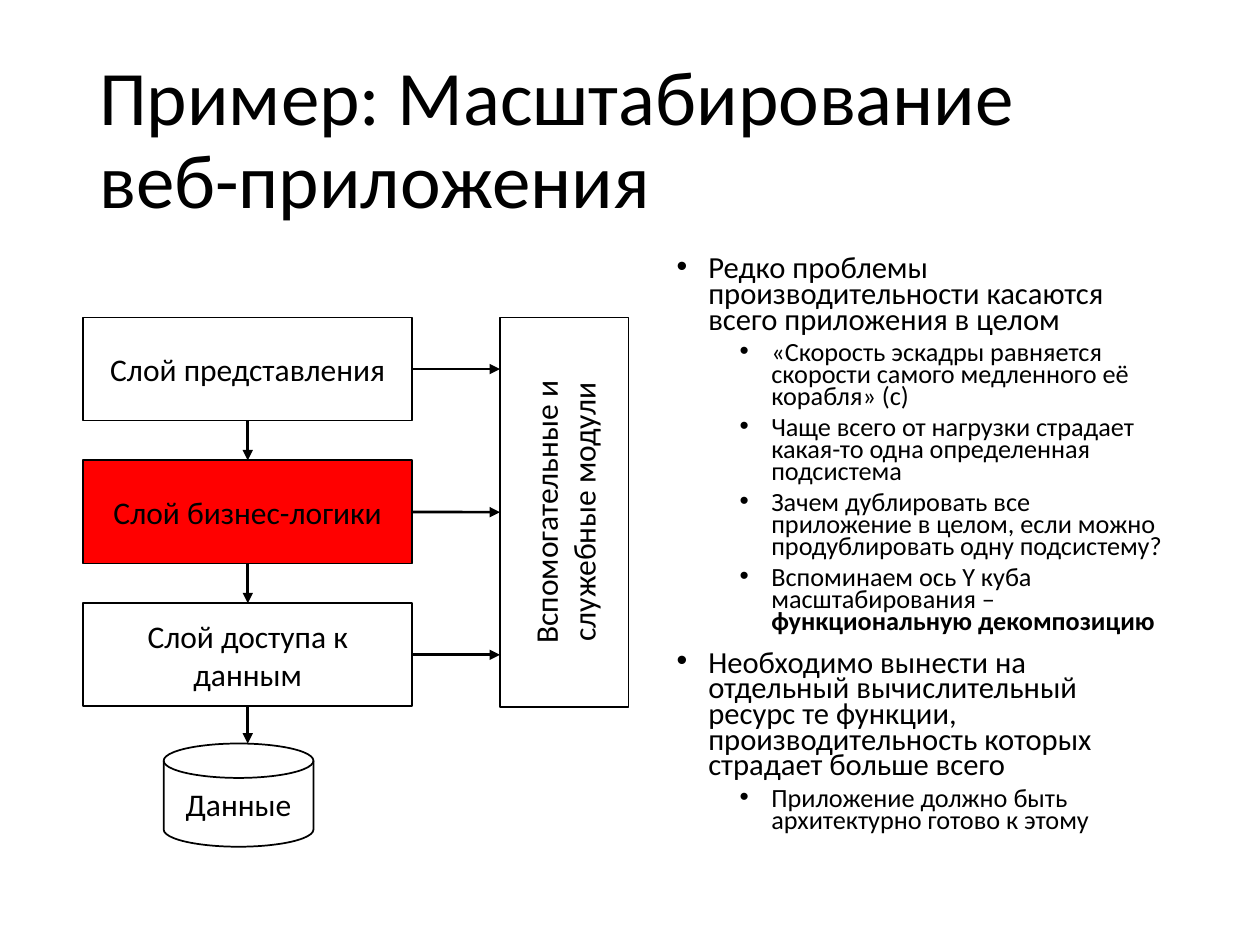
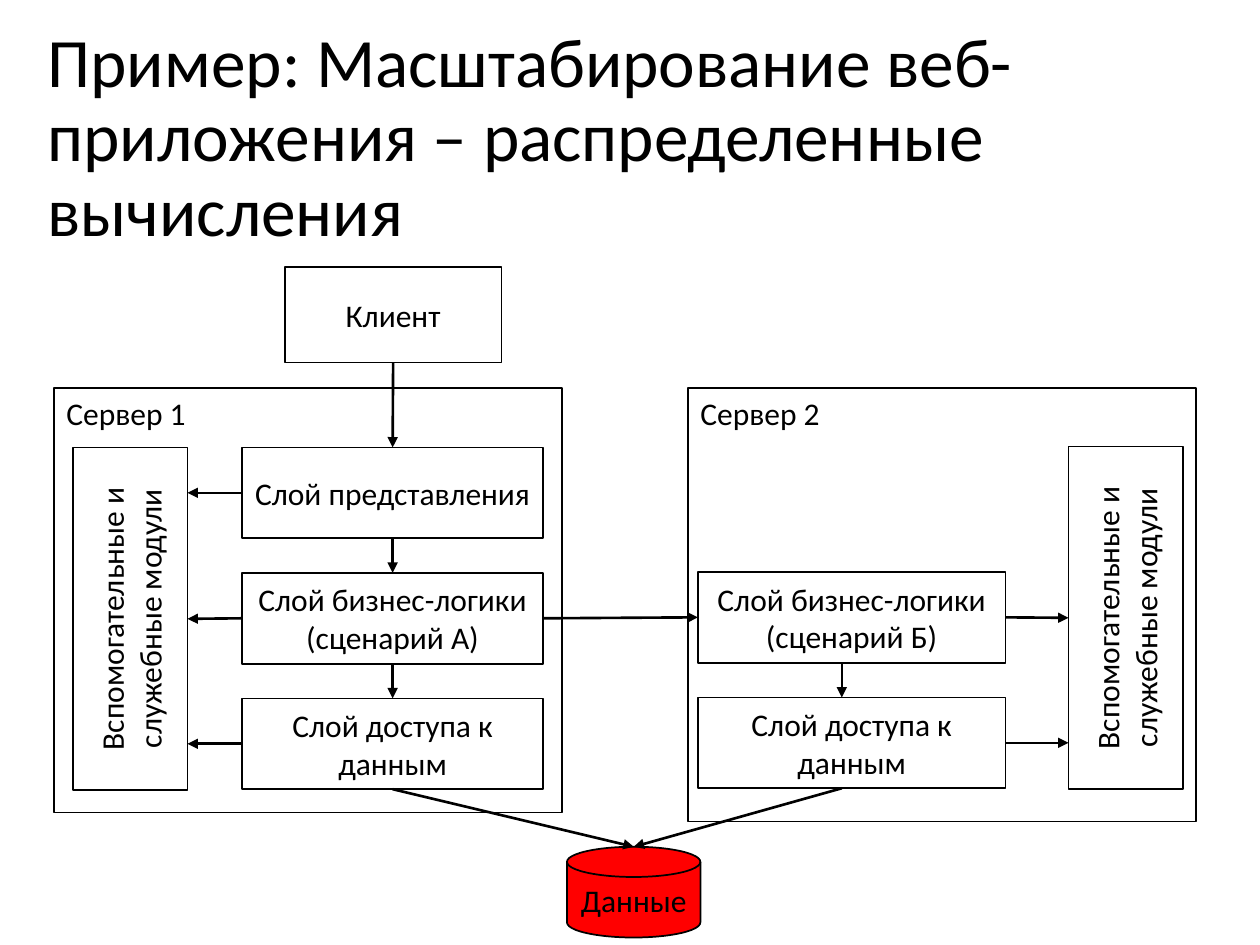
"""Builds two slides on scaling a layered web application."""
from dataclasses import dataclass
from typing import Any, NamedTuple, Optional

from lxml import etree
from pptx import Presentation
from pptx.dml.color import RGBColor
from pptx.enum.shapes import MSO_CONNECTOR, MSO_SHAPE
from pptx.enum.text import MSO_ANCHOR, PP_ALIGN
from pptx.oxml.ns import qn
from pptx.util import Cm, Pt

RECTANGLE = MSO_SHAPE.RECTANGLE
DISK = MSO_SHAPE.FLOWCHART_MAGNETIC_DISK
STRAIGHT = MSO_CONNECTOR.STRAIGHT
TOP_ANCHOR, MIDDLE_ANCHOR = MSO_ANCHOR.TOP, MSO_ANCHOR.MIDDLE
LEFT_ALIGN, CENTER_ALIGN = PP_ALIGN.LEFT, PP_ALIGN.CENTER
TOP, LEFT, BOTTOM, RIGHT = range(4)

FONT = "Calibri"
BLACK, WHITE, RED = "000000", "FFFFFF", "FF0000"
JOIN_TOLERANCE = Cm(0.05)

PRESENTATION_LAYER = "Слой представления"
BUSINESS_LAYER = "Слой бизнес-логики"
DATA_LAYER = "Слой доступа к данным"
SERVICE_MODULES = "Вспомогательные и служебные модули"
DATA_STORE = "Данные"

TITLE_FORMAT = {"line_spacing": 0.9, "alignment": LEFT_ALIGN}
BULLET_FORMATS = (
    {"level": 0, "line_spacing": 0.7, "space_before": Pt(10)},
    {"level": 1, "line_spacing": 0.7, "space_before": Pt(5)},
)
BULLET_SIZES = (17.5, 15)
BULLET_INDENTS = (Cm(0.64), Cm(1.91))
BULLET_HANG = Cm(0.64)


class Area(NamedTuple):
    """Place and size in centimetres."""
    left: float
    top: float
    width: float
    height: float


class Anchor(NamedTuple):
    """End of an arrow, joined to a shape when one is given."""
    x: int
    y: int
    shape: Any = None
    side: int = TOP


@dataclass
class Block:
    """Labelled element of an architecture diagram."""
    label: str
    area: Area
    fill: str = WHITE
    kind: Any = RECTANGLE
    upright: bool = False
    container: bool = False


@dataclass
class Bullet:
    """List entry with an optional bold ending."""
    text: str
    level: int = 1
    bold_end: str = ""


BULLETS = (
    Bullet("Редко проблемы производительности касаются всего приложения в целом", 0),
    Bullet("«Скорость эскадры равняется скорости самого медленного её корабля» (с)"),
    Bullet("Чаще всего от нагрузки страдает какая-то одна определенная подсистема"),
    Bullet("Зачем дублировать все приложение в целом, если можно продублировать одну подсистему?"),
    Bullet("Вспоминаем ось Y куба масштабирования – ", bold_end="функциональную декомпозицию"),
    Bullet("Необходимо вынести на отдельный вычислительный ресурс те функции, "
           "производительность которых страдает больше всего", 0),
    Bullet("Приложение должно быть архитектурно готово к этому"),
)


def rgb(color: str) -> RGBColor:
    """Turn a hex string into a colour."""
    return RGBColor.from_string(color)


def apply_format(target: Any, values: dict) -> None:
    """Set each named attribute on the target."""
    for name, value in values.items():
        setattr(target, name, value)


def place(area: Area) -> list:
    """Convert an area to lengths."""
    return [Cm(value) for value in area]


def add_run(paragraph: Any, text: str, size: float, bold: bool = False) -> None:
    """Add a run in the common font."""
    run = paragraph.add_run()
    run.text = text
    apply_format(run.font, {"name": FONT, "size": Pt(size), "bold": bold})
    run.font.color.rgb = rgb(BLACK)


def add_title(slide: Any, text: str, area: Area, size: float) -> None:
    """Write the slide title."""
    frame = slide.shapes.add_textbox(*place(area)).text_frame
    apply_format(frame, {"word_wrap": True, "vertical_anchor": MIDDLE_ANCHOR})
    apply_format(frame.paragraphs[0], TITLE_FORMAT)
    add_run(frame.paragraphs[0], text, size)


def add_bullets(slide: Any, bullets: tuple, area: Area) -> None:
    """Write a two-level bulleted list."""
    frame = slide.shapes.add_textbox(*place(area)).text_frame
    apply_format(frame, {"word_wrap": True, "vertical_anchor": TOP_ANCHOR})
    for index, bullet in enumerate(bullets):
        paragraph = frame.add_paragraph() if index else frame.paragraphs[0]
        apply_format(paragraph, BULLET_FORMATS[bullet.level])
        properties = paragraph._p.get_or_add_pPr()
        properties.set("marL", str(BULLET_INDENTS[bullet.level]))
        properties.set("indent", str(-BULLET_HANG))
        etree.SubElement(properties, qn("a:buFont")).set("typeface", "Arial")
        etree.SubElement(properties, qn("a:buChar")).set("char", "•")
        size = BULLET_SIZES[bullet.level]
        add_run(paragraph, bullet.text, size)
        if bullet.bold_end:
            add_run(paragraph, bullet.bold_end, size, bold=True)


def add_block(slide: Any, block: Block) -> Any:
    """Draw one diagram element with its label."""
    shape = slide.shapes.add_shape(block.kind, *place(block.area))
    shape.shadow.inherit = False
    shape.fill.solid()
    shape.fill.fore_color.rgb = rgb(block.fill)
    shape.line.color.rgb = rgb(BLACK)
    shape.line.width = Pt(1)
    frame = shape.text_frame
    anchor = TOP_ANCHOR if block.container else MIDDLE_ANCHOR
    apply_format(frame, {"word_wrap": True, "vertical_anchor": anchor})
    if block.upright:
        shape.element.find(".//" + qn("a:bodyPr")).set("vert", "vert270")
    paragraph = frame.paragraphs[0]
    paragraph.alignment = LEFT_ALIGN if block.container else CENTER_ALIGN
    add_run(paragraph, block.label, 18)
    return shape


def add_layers(slide: Any, labels: tuple, first: Area, pitch: float, hot: str = "") -> list:
    """Stack layers at equal steps and link each to the next."""
    layers = [
        add_block(slide, Block(label, first._replace(top=first.top + row * pitch),
                               RED if label == hot else WHITE))
        for row, label in enumerate(labels)
    ]
    return layers


def middle(shape: Any, side: int) -> Anchor:
    """Find the middle of a shape's side."""
    x = {LEFT: shape.left, RIGHT: shape.left + shape.width}
    y = {TOP: shape.top, BOTTOM: shape.top + shape.height}
    return Anchor(x.get(side, shape.left + shape.width // 2),
                  y.get(side, shape.top + shape.height // 2), shape, side)


def disk_top(disk: Any, x: Optional[int] = None) -> Anchor:
    """Give a free end on the upper edge of a disk."""
    return Anchor(middle(disk, TOP).x if x is None else x, disk.top)


def add_arrow(slide: Any, start: Anchor, end: Anchor) -> None:
    """Draw an arrow and join the ends that have a shape."""
    arrow = slide.shapes.add_connector(STRAIGHT, start.x, start.y, end.x, end.y)
    if start.shape is not None:
        arrow.begin_connect(start.shape, start.side)
    if end.shape is not None:
        arrow.end_connect(end.shape, end.side)
    arrow.line.color.rgb = rgb(BLACK)
    arrow.line.width = Pt(1.5)
    etree.SubElement(arrow.get_or_add_ln(), qn("a:tailEnd")).set("type", "triangle")
    etree.SubElement(arrow.element.spPr, qn("a:effectLst"))


def link_down(slide: Any, layers: list) -> None:
    """Link each layer to the one below."""
    for upper, lower in zip(layers, layers[1:]):
        add_arrow(slide, middle(upper, BOTTOM), middle(lower, TOP))


def link_modules(slide: Any, layers: list, modules: Any, side: int) -> None:
    """Link layers level to the service modules on the given side."""
    facing = middle(modules, LEFT if side == RIGHT else RIGHT)
    for layer in layers:
        start = middle(layer, side)
        level = abs(start.y - facing.y) < JOIN_TOLERANCE
        add_arrow(slide, start, facing if level else Anchor(facing.x, start.y))


def build_single_application(slide: Any) -> None:
    """Show the application and its overloaded layer."""
    add_title(slide, "Пример: Масштабирование веб-приложения", Area(1.75, 1.02, 21.9, 3.68), 44)
    add_bullets(slide, BULLETS, Area(13.39, 5.08, 10.29, 12.09))
    layers = add_layers(slide, (PRESENTATION_LAYER, BUSINESS_LAYER, DATA_LAYER),
                        Area(1.68, 6.4, 6.63, 2.08), 2.88, hot=BUSINESS_LAYER)
    store = add_block(slide, Block(DATA_STORE, Area(3.3, 14.99, 3.02, 2.08), kind=DISK))
    modules = add_block(slide, Block(SERVICE_MODULES, Area(10.08, 6.4, 2.59, 7.85), upright=True))
    link_down(slide, layers)
    outlet = middle(layers[-1], BOTTOM)
    add_arrow(slide, outlet, disk_top(store, outlet.x))
    link_modules(slide, layers, modules, RIGHT)


def build_distributed_application(slide: Any) -> None:
    """Show the application spread over two servers."""
    add_title(slide, "Пример: Масштабирование веб-приложения – распределенные вычисления",
              Area(0.71, 0.41, 24.69, 4.8), 39.6)
    pitch = 2.53

    add_block(slide, Block("Сервер 1", Area(1.09, 7.82, 10.24, 8.56), container=True))
    first_layers = add_layers(
        slide, (PRESENTATION_LAYER, f"{BUSINESS_LAYER} (сценарий А)", DATA_LAYER),
        Area(4.88, 9.02, 6.07, 1.83), pitch)
    first_modules = add_block(
        slide, Block(SERVICE_MODULES, Area(1.47, 9.02, 2.31, 6.91), upright=True))
    link_down(slide, first_layers)
    link_modules(slide, first_layers, first_modules, LEFT)

    add_block(slide, Block("Сервер 2", Area(13.87, 7.82, 10.24, 8.74), container=True))
    second_layers = add_layers(slide, (f"{BUSINESS_LAYER} (сценарий Б)", DATA_LAYER),
                               Area(14.07, 9 + pitch, 6.2, 1.83), pitch)
    second_modules = add_block(
        slide, Block(SERVICE_MODULES, Area(21.54, 9, 2.31, 6.91), upright=True))
    flow_x = Cm(16.97)
    business, data_access = second_layers
    add_arrow(slide, Anchor(flow_x, business.top + business.height),
              Anchor(flow_x, data_access.top))
    link_modules(slide, second_layers, second_modules, RIGHT)

    client = add_block(slide, Block("Клиент", Area(5.74, 5.38, 4.37, 1.93)))
    store = add_block(slide, Block(DATA_STORE, Area(11.43, 17.07, 2.69, 1.83), RED, DISK))
    add_arrow(slide, middle(client, BOTTOM), middle(first_layers[0], TOP))
    add_arrow(slide, middle(first_layers[-1], BOTTOM), disk_top(store))
    add_arrow(slide, Anchor(flow_x, data_access.top + data_access.height), disk_top(store))
    add_arrow(slide, middle(first_layers[1], RIGHT), middle(business, LEFT))


def main() -> None:
    """Build and save the presentation."""
    presentation = Presentation()
    apply_format(presentation, {"slide_width": Cm(25.4), "slide_height": Cm(19.05)})
    blank = presentation.slide_layouts[6]
    for build in (build_single_application, build_distributed_application):
        build(presentation.slides.add_slide(blank))
    presentation.save("out.pptx")


if __name__ == "__main__":
    main()
